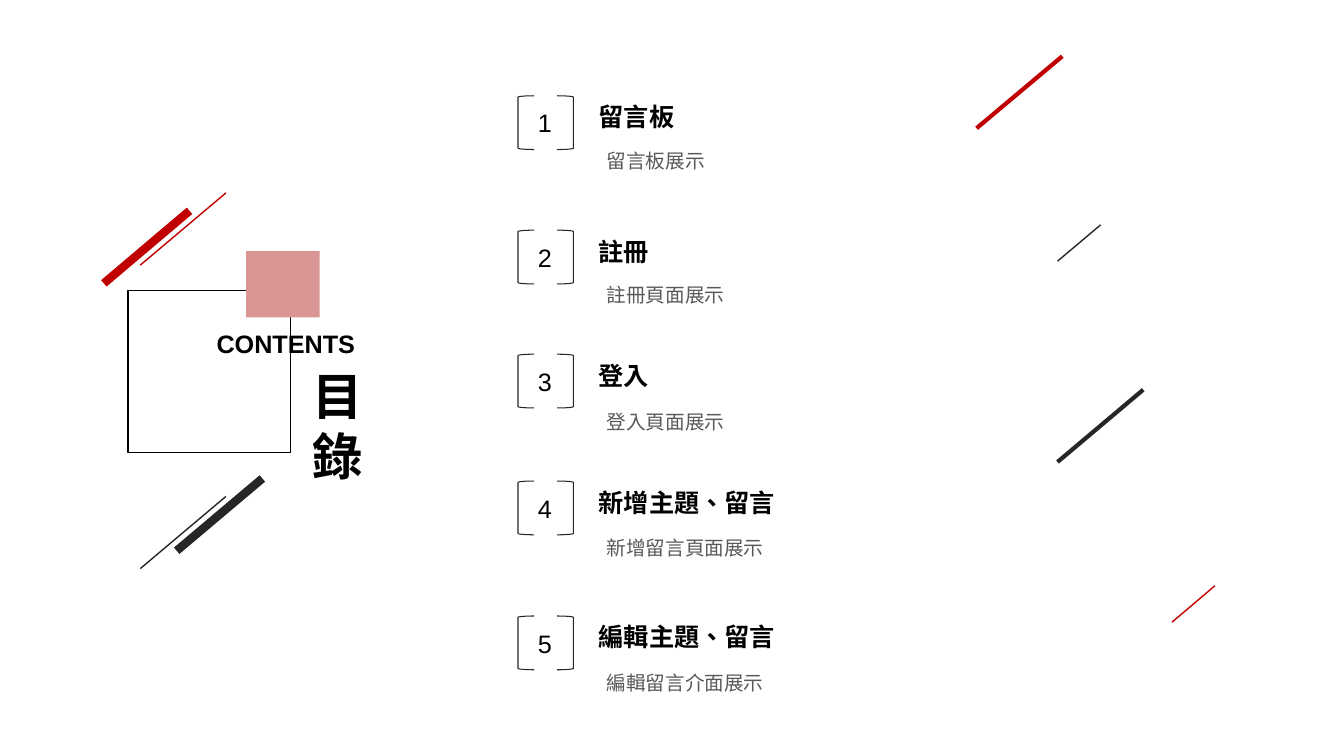
from lxml import etree
from pptx import Presentation
from pptx.dml.color import RGBColor
from pptx.enum.shapes import MSO_CONNECTOR, MSO_SHAPE
from pptx.enum.text import MSO_ANCHOR, MSO_AUTO_SIZE, PP_ALIGN
from pptx.oxml.ns import qn
from pptx.util import Pt

STRAIGHT = MSO_CONNECTOR.STRAIGHT
RECTANGLE, BRACKET = MSO_SHAPE.RECTANGLE, MSO_SHAPE.LEFT_BRACKET
LEFT, TOP = PP_ALIGN.LEFT, MSO_ANCHOR.TOP
GROW = MSO_AUTO_SIZE.SHAPE_TO_FIT_TEXT

RED = RGBColor(0xC0, 0x00, 0x00)
DARK = RGBColor(0x26, 0x26, 0x26)
BLACK = RGBColor(0x00, 0x00, 0x00)
GRAY = RGBColor(0x59, 0x59, 0x59)
PINK = RGBColor(0xD9, 0x96, 0x94)
LATIN, CJK = "Arial", "Noto Sans CJK SC"

NUMBER = {"name": LATIN, "size": Pt(18), "bold": False, "color": BLACK}
HEADING = {**NUMBER, "bold": True}
DETAIL = {"name": CJK, "size": Pt(14), "bold": False, "color": GRAY}
TITLE = {"name": CJK, "size": Pt(36), "bold": True, "color": BLACK}

ENTRIES = [
    (68.4, 34.4, "留言板", "留言板展示"),
    (164.4, 34.4, "註冊", "註冊頁面展示"),
    (253, 36, "登入", "登入頁面展示"),
    (343.6, 36, "新增主題、留言", "新增留言頁面展示"),
    (440, 36, "編輯主題、留言", "編輯留言介面展示"),
]
ACCENT_PAIRS = [
    [(135.4, 150.6, 74.2, 202.4, RED, 6), (161.4, 137.8, 100.2, 189.4, RED, 1)],
    [(126.2, 393.4, 187.4, 341.8, DARK, 6), (100.2, 406.2, 161.4, 354.6, DARK, 1)],
]
LOOSE_ACCENTS = [
    (758.8, 40.2, 697.6, 91.6, RED, 3),
    (786.2, 160.6, 755.4, 186.6, DARK, 1),
    (867.8, 418.4, 837.2, 444.4, RED, 1),
    (816.6, 278.4, 755.4, 330, DARK, 3),
]


def write(tf, text, style, wrap=True):
    """Fill a text frame with one styled, left-aligned paragraph."""
    tf.word_wrap = wrap
    tf.auto_size = GROW
    tf.vertical_anchor = TOP
    p = tf.paragraphs[0]
    p.alignment = LEFT
    r = p.add_run()
    r.text = text
    for name, value in style.items():
        if name == "color":
            r.font.color.rgb = value
        else:
            setattr(r.font, name, value)
    props = r._r.get_or_add_rPr()
    props.set("lang", "zh-TW")
    etree.SubElement(props, qn("a:ea")).set("typeface", CJK)


def add_text(shapes, x, y, w, h, text, style, wrap=True):
    """Add a text box."""
    box = shapes.add_textbox(Pt(x), Pt(y), Pt(w), Pt(h))
    write(box.text_frame, text, style, wrap)


def add_outline(shapes, kind, x, y, w, h, color, width):
    """Add an unfilled preset shape."""
    sp = shapes.add_shape(kind, Pt(x), Pt(y), Pt(w), Pt(h))
    sp.shadow.inherit = False
    sp.fill.background()
    sp.line.color.rgb = color
    sp.line.width = Pt(width)
    return sp


def add_block(shapes, x, y, w, h, color):
    """Add a filled rectangle without a border."""
    sp = shapes.add_shape(RECTANGLE, Pt(x), Pt(y), Pt(w), Pt(h))
    sp.shadow.inherit = False
    sp.fill.solid()
    sp.fill.fore_color.rgb = color
    sp.line.fill.background()


def add_accent(shapes, x1, y1, x2, y2, color, width):
    """Add a slanted accent line."""
    line = shapes.add_connector(STRAIGHT, Pt(x1), Pt(y1), Pt(x2), Pt(y2))
    line.line.color.rgb = color
    line.line.width = Pt(width)
    etree.SubElement(line._element.spPr, qn("a:effectLst"))


def add_entry(shapes, number, top, detail_offset, heading, detail):
    """Add a grouped contents entry with its bracketed number."""
    group = shapes.add_group_shape().shapes
    add_text(group, 377.2, top + 5, 24.6, 29, str(number), NUMBER, False)
    for x, angle in ((370, 0), (398, 180)):
        bracket = add_outline(group, BRACKET, x, top, 11.6, 38.4, DARK, 0.75)
        bracket.rotation = angle
    width = len(heading) * 18 + 14.4
    add_text(group, 420.6, top + 0.6, width, 29, heading, HEADING, False)
    add_text(group, 426.2, top + detail_offset, 329, 24.4, detail, DETAIL)


def set_title(s, x, y, w, h, text):
    """Place and format the title placeholder in front of the shapes so far."""
    title = s.shapes.title
    title.left, title.top, title.width, title.height = Pt(x), Pt(y), Pt(w), Pt(h)
    write(title.text_frame, text, TITLE)
    s.shapes._spTree.append(title._element)


def main():
    """Build the contents slide."""
    prs = Presentation()
    prs.slide_width, prs.slide_height = Pt(960), Pt(540)
    s = prs.slides.add_slide(prs.slide_layouts[5])
    for pair in ACCENT_PAIRS:
        group = s.shapes.add_group_shape().shapes
        for accent in pair:
            add_accent(group, *accent)
    for accent in LOOSE_ACCENTS:
        add_accent(s.shapes, *accent)
    for number, entry in enumerate(ENTRIES, 1):
        add_entry(s.shapes, number, *entry)
    add_outline(s.shapes, RECTANGLE, 91.6, 207.4, 116, 116, BLACK, 1)
    add_block(s.shapes, 175.8, 179.4, 52.6, 47.4, PINK)
    add_text(s.shapes, 147.6, 231.2, 120.2, 29, "CONTENTS", HEADING)
    set_title(s, 216, 257, 84.2, 94.4, "目錄")
    prs.save("out.pptx")


if __name__ == "__main__":
    main()
